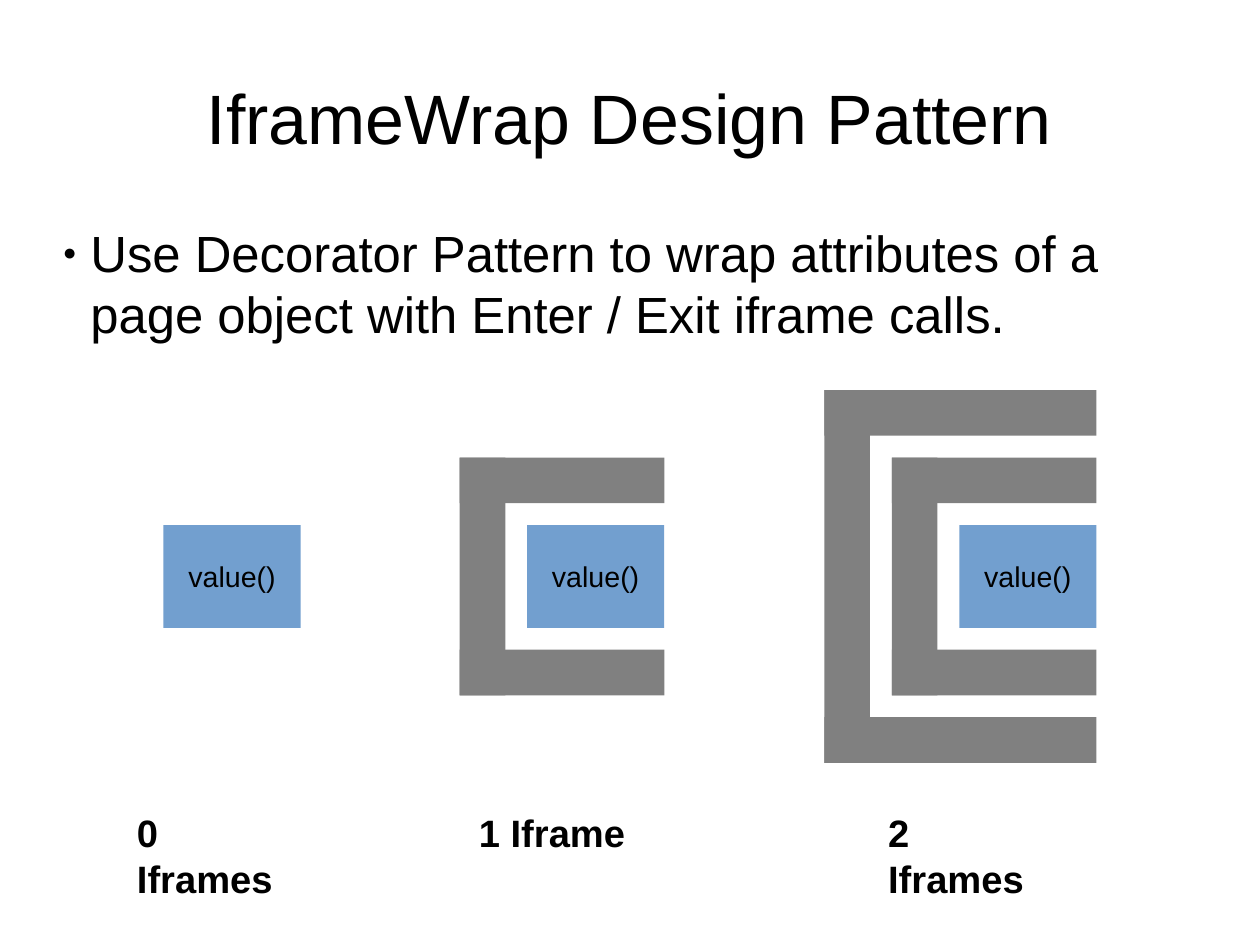
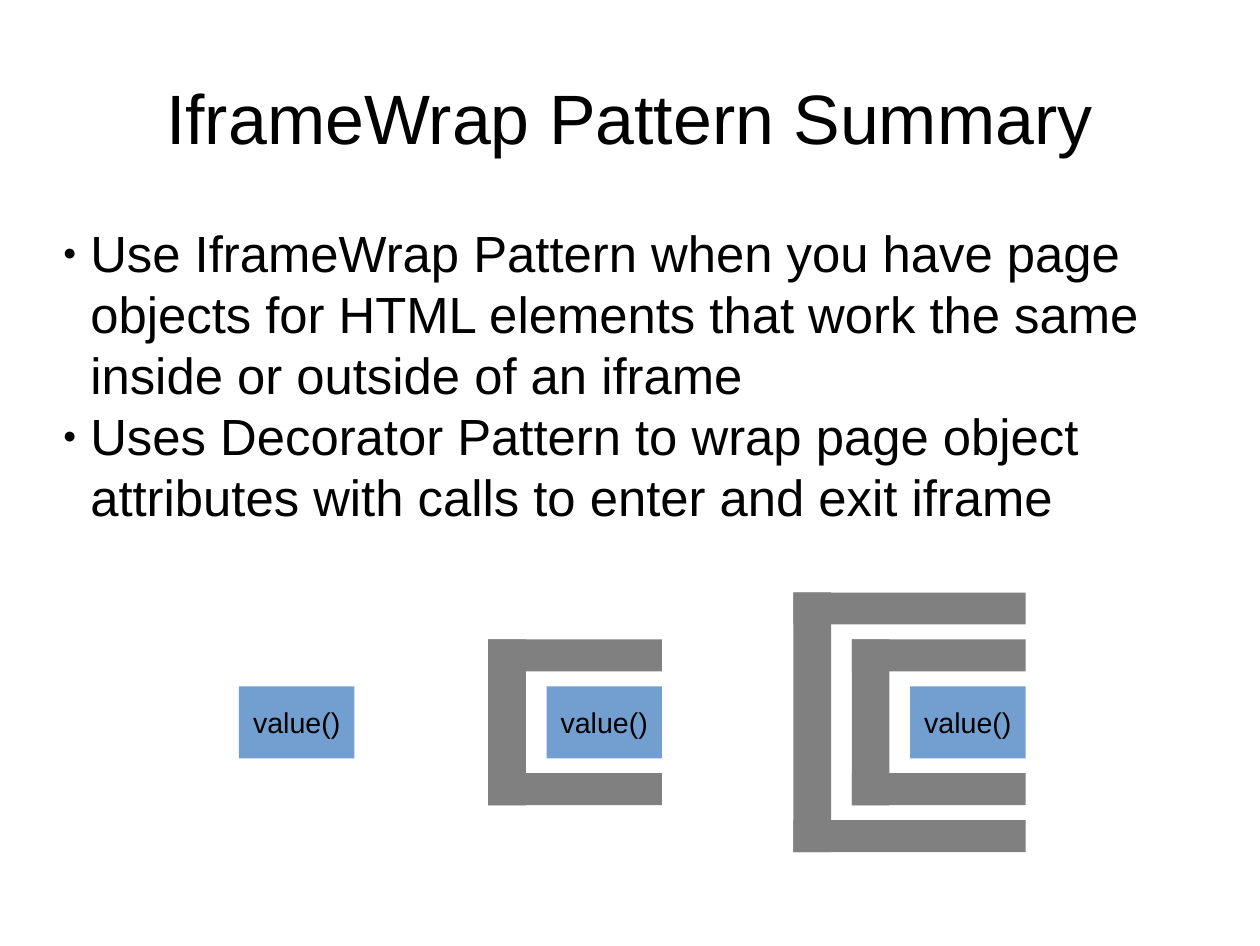
from dataclasses import dataclass

from lxml import etree
from pptx import Presentation
from pptx.dml.color import RGBColor
from pptx.enum import shapes, text
from pptx.oxml import ns
from pptx.util import Inches, Pt


@dataclass(frozen=True)
class Theme:
    """Colours, font and type sizes shared by the slides."""
    font: str = "Arial"
    ink: RGBColor = RGBColor(0x00, 0x00, 0x00)
    value_fill: RGBColor = RGBColor(0x72, 0x9F, 0xCF)
    frame_fill: RGBColor = RGBColor(0x80, 0x80, 0x80)
    title_size: int = 44
    body_size: int = 32
    label_size: int = 24
    value_size: int = 18
    bullet_indent: float = 0.24
    bullet_percent: int = 45


@dataclass(frozen=True)
class Diagram:
    """Sizes in inches of a value block and the iframe brackets around it."""
    width: float
    height: float
    side: float
    bar: float
    gap_x: float
    gap_y: float


THEME = Theme()
LARGE = Diagram(width=1.2, height=0.9, side=0.4, bar=0.4, gap_x=0.19, gap_y=0.19)
SMALL = Diagram(width=1.01, height=0.63, side=0.33, bar=0.28, gap_x=0.18, gap_y=0.13)


def format_paragraphs(text_frame, size, bold=False, align=text.PP_ALIGN.LEFT):
    """Give every paragraph the theme font, a size and an alignment."""
    for paragraph in text_frame.paragraphs:
        paragraph.alignment = align
        for run in paragraph.runs:
            run.font.name = THEME.font
            run.font.size = Pt(size)
            run.font.bold = bold
            run.font.color.rgb = THEME.ink


def add_text(slide, left, top, width, height, content, margin=True):
    """Add a wrapping text box and return its text frame."""
    box = slide.shapes.add_textbox(*map(Inches, (left, top, width, height)))
    text_frame = box.text_frame
    text_frame.word_wrap = True
    if not margin:
        text_frame.margin_left = text_frame.margin_right = 0
        text_frame.margin_top = text_frame.margin_bottom = 0
    text_frame.text = content
    return text_frame


def add_title(slide, title):
    """Add the centred slide title."""
    text_frame = add_text(slide, 0.55, 0.33, 9.92, 1.38, title, margin=False)
    text_frame.vertical_anchor = text.MSO_ANCHOR.MIDDLE
    format_paragraphs(text_frame, THEME.title_size, align=text.PP_ALIGN.CENTER)


def add_bullets(slide, items, width):
    """Add the body text with a small round bullet on each item."""
    text_frame = add_text(slide, 0.55, 1.94, width, 4.8, "\n".join(items), margin=False)
    format_paragraphs(text_frame, THEME.body_size)
    indent = Inches(THEME.bullet_indent)
    for paragraph in text_frame.paragraphs:
        properties = paragraph._p.get_or_add_pPr()
        properties.set("marL", str(indent))
        properties.set("indent", str(-indent))
        size = etree.SubElement(properties, ns.qn("a:buSzPct"))
        size.set("val", str(THEME.bullet_percent * 1000))
        etree.SubElement(properties, ns.qn("a:buFont")).set("typeface", THEME.font)
        etree.SubElement(properties, ns.qn("a:buChar")).set("char", "●")


def add_label(slide, left, width, label):
    """Add a bold label under a diagram."""
    text_frame = add_text(slide, left, 7.03, width, 0.47, label)
    format_paragraphs(text_frame, THEME.label_size, bold=True)


def add_block(slide, left, top, width, height, fill):
    """Add a plain filled rectangle without outline."""
    shape = slide.shapes.add_shape(
        shapes.MSO_SHAPE.RECTANGLE, *map(Inches, (left, top, width, height)))
    shape.shadow.inherit = False
    shape.fill.solid()
    shape.fill.fore_color.rgb = fill
    shape.line.fill.background()
    return shape


def add_bracket(slide, left, top, width, height, diagram):
    """Add one iframe: a top bar, a bottom bar and a left side."""
    for bar_top in (top, top + height - diagram.bar):
        add_block(slide, left, bar_top, width, diagram.bar, THEME.frame_fill)
    add_block(slide, left, top, diagram.side, height, THEME.frame_fill)


def add_wrapped_value(slide, left, top, iframes, diagram):
    """Add a value block wrapped in the given number of iframes."""
    shape = add_block(slide, left, top, diagram.width, diagram.height, THEME.value_fill)
    text_frame = shape.text_frame
    text_frame.text = "value()"
    text_frame.word_wrap = False
    text_frame.vertical_anchor = text.MSO_ANCHOR.MIDDLE
    format_paragraphs(text_frame, THEME.value_size, align=text.PP_ALIGN.CENTER)
    for level in range(1, iframes + 1):
        reach_x = level * (diagram.side + diagram.gap_x)
        reach_y = level * (diagram.bar + diagram.gap_y)
        add_bracket(slide, left - reach_x, top - reach_y,
                    diagram.width + reach_x, diagram.height + 2 * reach_y, diagram)


def add_pattern_slide(presentation, title, bullets, body_width, diagram, lefts, top):
    """Add a slide with title, bullets and values in 0, 1 and 2 iframes."""
    slide = presentation.slides.add_slide(presentation.slide_layouts[6])
    add_title(slide, title)
    add_bullets(slide, bullets, body_width)
    for iframes, left in enumerate(lefts):
        add_wrapped_value(slide, left, top, iframes, diagram)
    return slide


def main():
    """Build and save the presentation."""
    presentation = Presentation()
    presentation.slide_width = Inches(11.02)
    presentation.slide_height = Inches(8.27)

    design = add_pattern_slide(
        presentation, "IframeWrap Design Pattern",
        ["Use Decorator Pattern to wrap attributes of a page object "
         "with Enter / Exit iframe calls."],
        9.92, LARGE, (1.43, 4.61, 8.39), 4.59)
    for left, width, label in ((1.1, 1.66, "0 Iframes"),
                               (4.09, 1.48, "1 Iframe"),
                               (7.67, 1.66, "2 Iframes")):
        add_label(design, left, width, label)

    add_pattern_slide(
        presentation, "IframeWrap Pattern Summary",
        ["Use IframeWrap Pattern when you have page objects for HTML elements "
         "that work the same inside or outside of an iframe",
         "Uses Decorator Pattern to wrap page object attributes "
         "with calls to enter and exit iframe"],
        9.7, SMALL, (2.09, 4.78, 7.96), 6)

    presentation.save("out.pptx")


if __name__ == "__main__":
    main()
